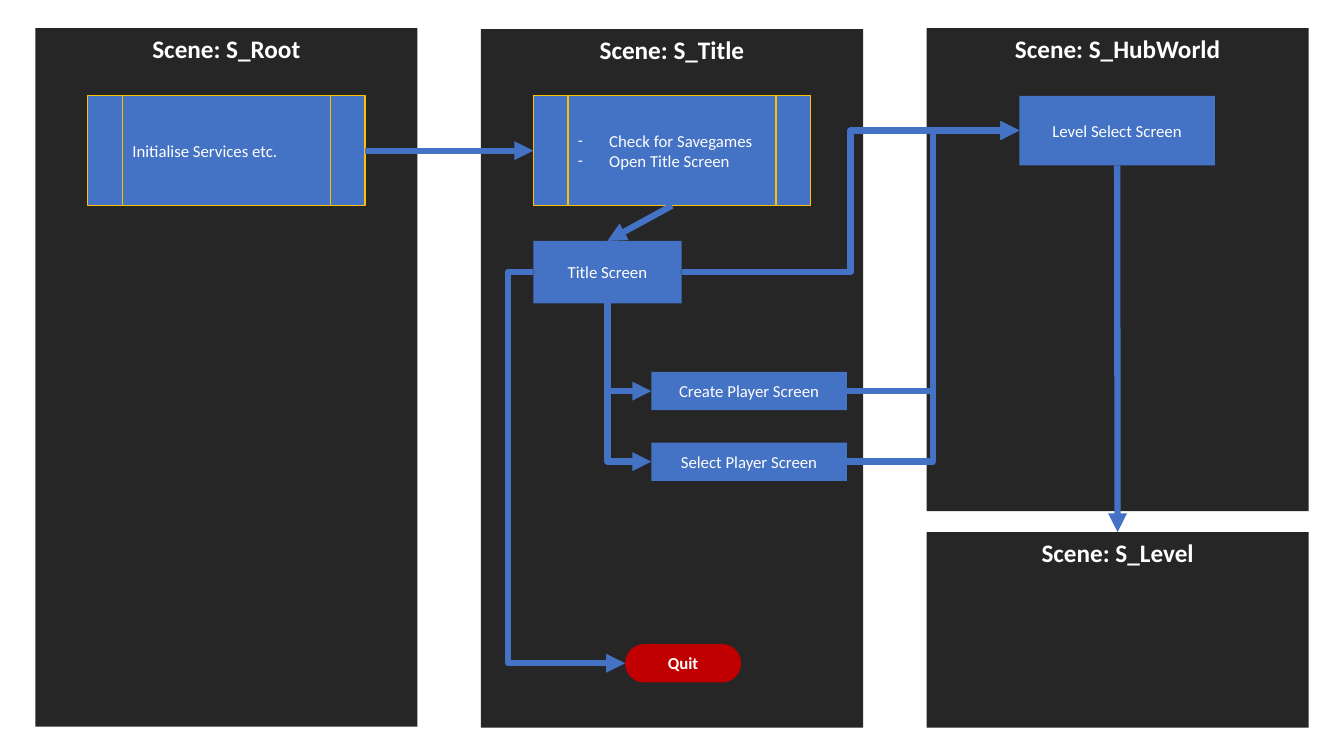
from lxml import etree
from pptx import Presentation
from pptx.dml.color import RGBColor
from pptx.enum import shapes, text
from pptx.oxml import ns
from pptx.util import Inches, Pt

HUES = {"dark": "262626", "blue": "4472C4", "gold": "FFC000", "red": "C00000", "white": "FFFFFF"}
KIND = shapes.MSO_SHAPE
ALIGN = text.PP_ALIGN
ANCHOR = text.MSO_ANCHOR
TOP, LEFT, BOTTOM, RIGHT = range(4)

deck = Presentation()
deck.slide_width, deck.slide_height = Inches(13.33), Inches(7.5)
slide = deck.slides.add_slide(deck.slide_layouts[6])


def add_box(kind, area, words, fill, size=12, bold=False, align=ALIGN.CENTER, anchor=ANCHOR.MIDDLE):
    box = slide.shapes.add_shape(kind, *map(Inches, area))
    box.shadow.inherit = False
    box.fill.solid()
    box.fill.fore_color.rgb = RGBColor.from_string(HUES[fill])
    box.line.fill.background()
    frame = box.text_frame
    frame.word_wrap = True
    frame.vertical_anchor = anchor
    frame.text = words
    look = {"name": "Calibri", "size": Pt(size), "bold": bold}
    for para in frame.paragraphs:
        para.alignment = align
        for run in para.runs:
            for key, value in look.items():
                setattr(run.font, key, value)
            run.font.color.rgb = RGBColor.from_string(HUES["white"])
    return box


def add_link(start, side, end, goal, kind=shapes.MSO_CONNECTOR.ELBOW):
    link = slide.shapes.add_connector(kind, 0, 0, 0, 0)
    link.begin_connect(start, side)
    link.end_connect(end, goal)
    link.line.width = Pt(4.5)
    link.line.color.rgb = RGBColor.from_string(HUES["blue"])
    etree.SubElement(link.line._get_or_add_ln(), ns.qn("a:tailEnd"), type="triangle")
    etree.SubElement(link._element.spPr, ns.qn("a:effectLst"))
    return link


panels = {}
for name, x, y, high in [
    ("Root", 0.35, 0.28, 6.93),
    ("Title", 4.77, 0.29, 6.93),
    ("Level", 9.19, 5.28, 1.94),
    ("HubWorld", 9.19, 0.28, 4.79),
]:
    panels[name] = add_box(KIND.RECTANGLE, (x, y, 3.79, high), f"Scene: S_{name}", "dark",
                           18, True, anchor=ANCHOR.TOP)

tasks = []
for x, words in [(0.87, "Initialise Services etc."), (5.29, "Check for Savegames\nOpen Title Screen")]:
    task = add_box(KIND.FLOWCHART_PREDEFINED_PROCESS, (x, 0.95, 2.75, 1.09), words, "blue", align=ALIGN.LEFT)
    task.line.color.rgb = RGBColor.from_string(HUES["gold"])
    task.line.width = Pt(1)
    tasks.append(task)
init, check = tasks
for para in check.text_frame.paragraphs:
    props = para._p.get_or_add_pPr()
    props.set("marL", str(Inches(0.31)))
    props.set("indent", str(-Inches(0.31)))
    etree.SubElement(props, ns.qn("a:buFont"), typeface="Calibri")
    etree.SubElement(props, ns.qn("a:buChar"), char="-")

title, level, create, select = [
    add_box(KIND.RECTANGLE, area, f"{name} Screen", "blue")
    for name, area in [
        ("Title", (5.29, 2.39, 1.47, 0.62)),
        ("Level Select", (10.11, 0.95, 1.94, 0.69)),
        ("Create Player", (6.46, 3.69, 1.94, 0.38)),
        ("Select Player", (6.46, 4.39, 1.94, 0.38)),
    ]
]
quit_box = add_box(KIND.FLOWCHART_TERMINATOR, (6.2, 6.39, 1.15, 0.38), "Quit", "red", bold=True)

for start in (title, create, select):
    add_link(start, RIGHT, level, LEFT)

for end in (create, select):
    link = add_link(title, BOTTOM, end, LEFT)
    wide, high = link.width, link.height
    link.left += (wide - high) // 2
    link.top += (high - wide) // 2
    link.width, link.height = high, wide
    frame = link._element.spPr.find(ns.qn("a:xfrm"))
    frame.set("rot", "16200000")
    frame.set("flipH", "1")
    link._element.spPr.find(ns.qn("a:prstGeom")).set("prst", "bentConnector2")

link = add_link(title, LEFT, quit_box, LEFT)
shape = link._element.spPr.find(ns.qn("a:prstGeom"))
etree.SubElement(shape.find(ns.qn("a:avLst")), ns.qn("a:gd"), name="adj1", fmla="val -27600")

for start, side, end, goal in [
    (level, BOTTOM, panels["Level"], TOP),
    (init, RIGHT, check, LEFT),
    (check, BOTTOM, title, TOP),
]:
    add_link(start, side, end, goal, shapes.MSO_CONNECTOR.STRAIGHT)

deck.save("out.pptx")
